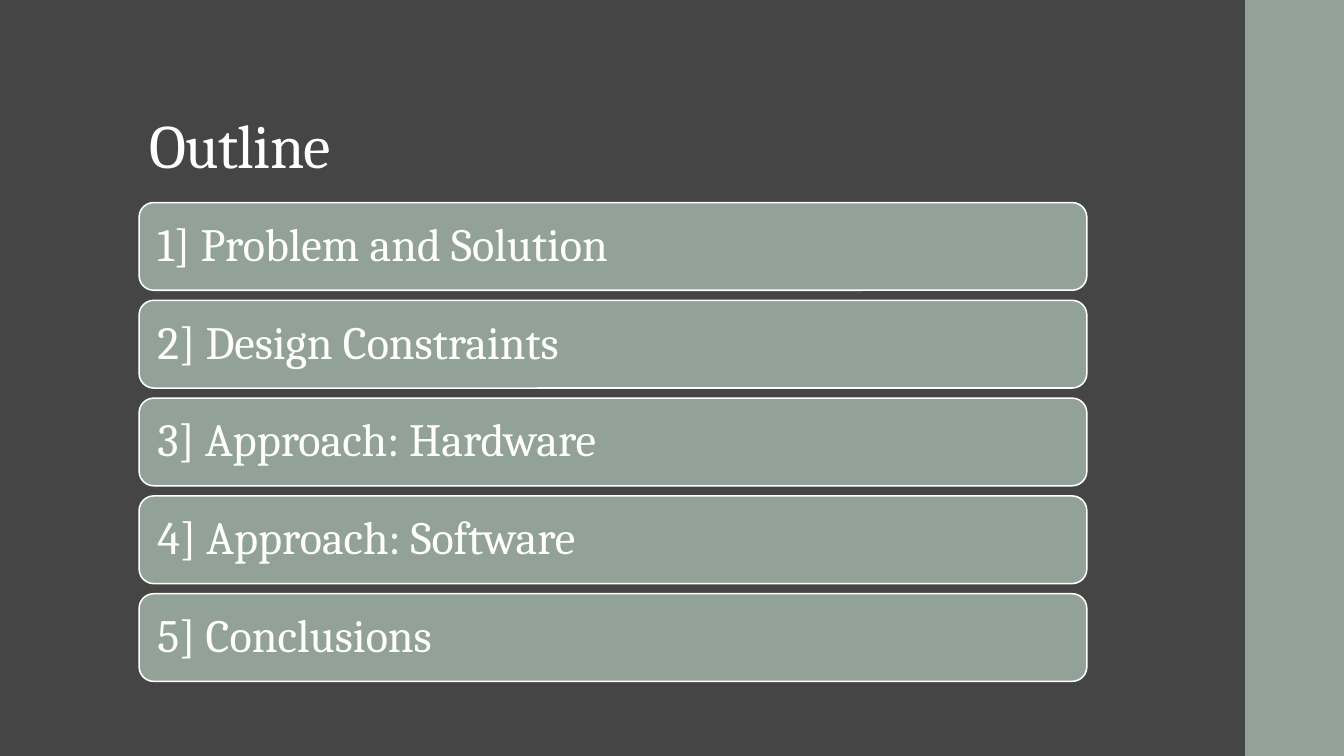
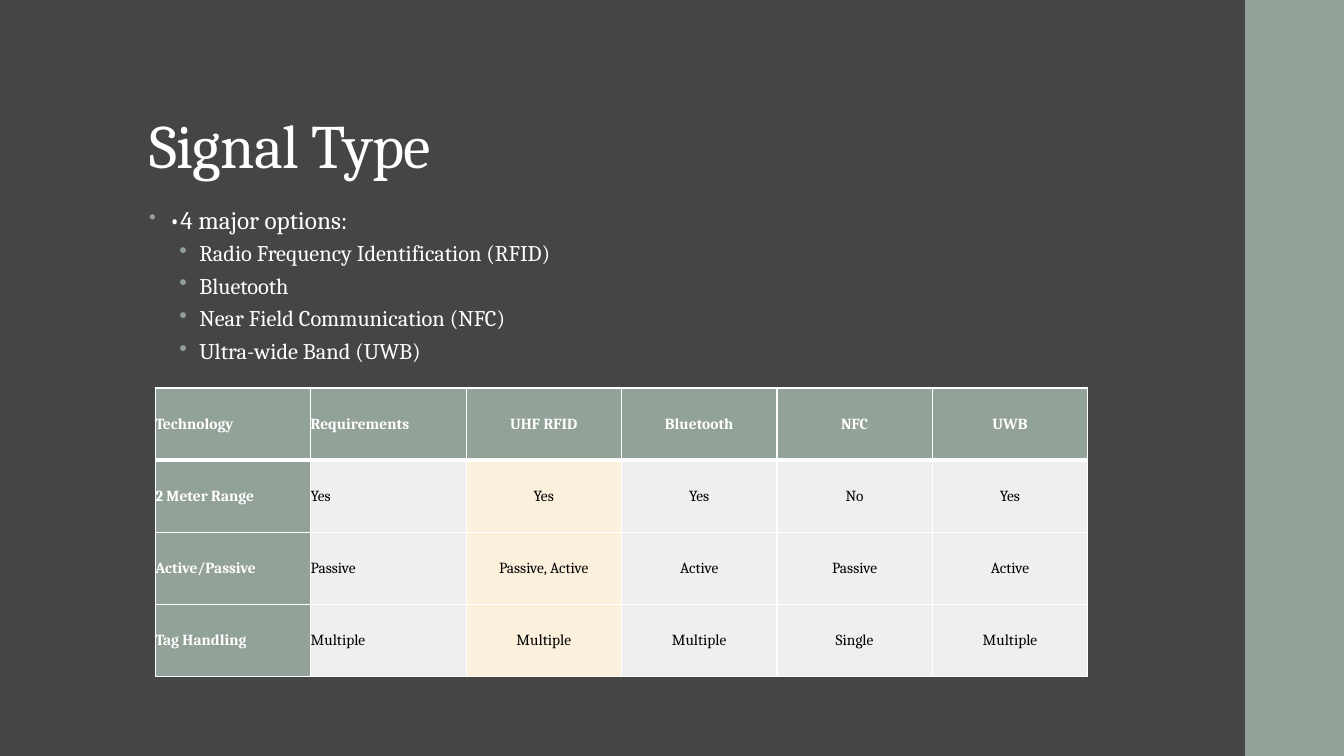
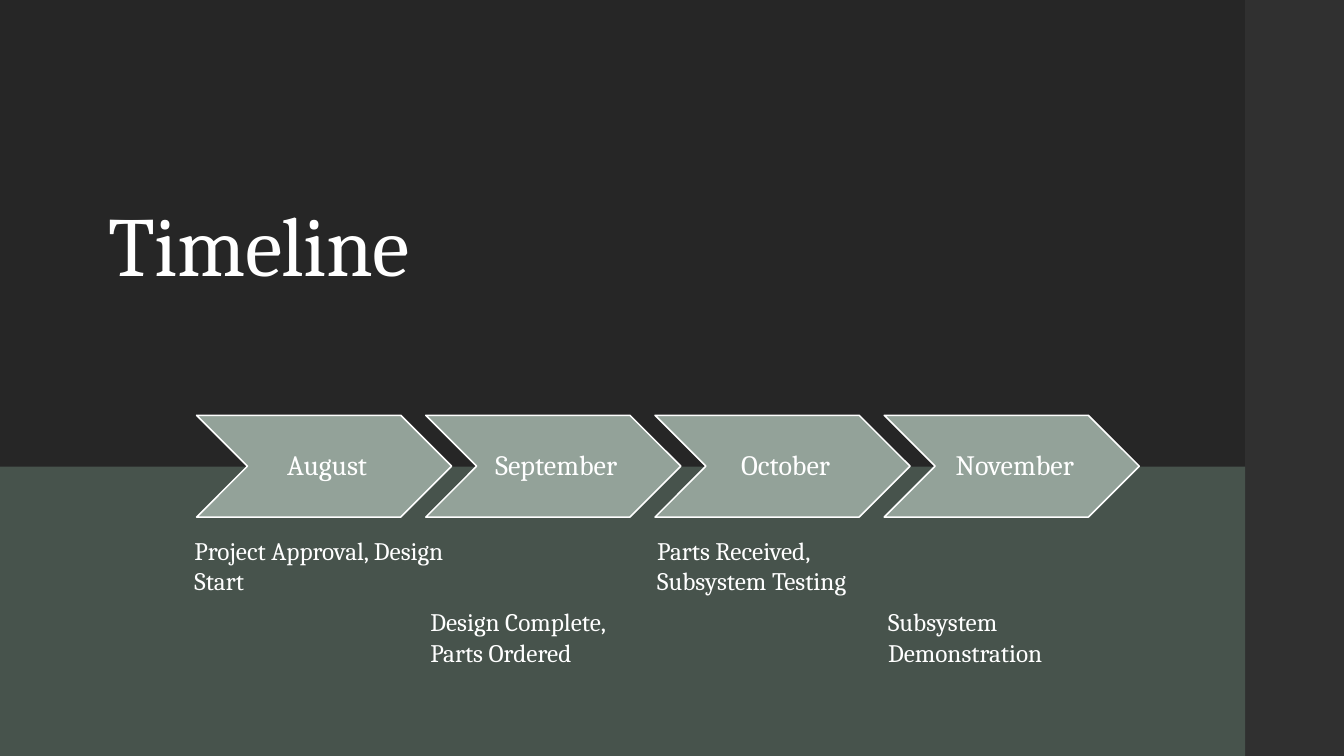
import dataclasses

import pptx
import pptx.dml.color
import pptx.enum.shapes
import pptx.enum.text
import pptx.oxml
import pptx.oxml.ns
import pptx.presentation
import pptx.shapes.autoshape
import pptx.shapes.base
import pptx.slide
import pptx.table
import pptx.text.text
import pptx.util

Inches = pptx.util.Inches
Pt = pptx.util.Pt
Shape = pptx.enum.shapes.MSO_SHAPE
Align = pptx.enum.text.PP_ALIGN
Anchor = pptx.enum.text.MSO_ANCHOR

FONT = "Cambria"
WHITE, BLACK = "FFFFFF", "000000"
SLATE, SAGE, MOSS = "454545", "93A299", "47534C"
COAL, STRIP = "262626", "303030"
PALE, CREAM = "EEF0EF", "FAF0DB"
EDGE = 12.35


@dataclasses.dataclass(frozen=True)
class Box:
    left: float
    top: float
    width: float
    height: float

    def lengths(self) -> tuple[int, ...]:
        return tuple(Inches(side) for side in dataclasses.astuple(self))


@dataclasses.dataclass(frozen=True)
class Month:
    name: str
    note: str
    left: float
    top: float


@dataclasses.dataclass(frozen=True)
class Bullet:
    text: str
    size: int
    indent: float
    scale: int
    before: int
    after: int
    line: float


TITLE = Box(1.38, 0.4, 10.6, 1.45)
TOPICS = ["1] Problem and Solution", "2] Design Constraints",
          "3] Approach: Hardware", "4] Approach: Software", "5] Conclusions"]
SIGNALS = ["Radio Frequency Identification (RFID)", "Bluetooth",
           "Near Field Communication (NFC)", "Ultra-wide Band (UWB)"]
GRID = [
    ["Technology", "Requirements", "UHF RFID", "Bluetooth", "NFC", "UWB"],
    ["2 Meter Range", "Yes", "Yes", "Yes", "No", "Yes"],
    ["Active/Passive", "Passive", "Passive, Active", "Active", "Passive", "Active"],
    ["Tag Handling", "Multiple", "Multiple", "Multiple", "Single", "Multiple"],
]
MONTHS = [
    Month("August", "Project Approval, Design Start", 1.83, 5.26),
    Month("September", "Design Complete,\nParts Ordered", 4.17, 5.97),
    Month("October", "Parts Received,\nSubsystem Testing", 6.42, 5.26),
    Month("November", "Subsystem\nDemonstration", 8.71, 5.97),
]


def color(code: str) -> pptx.dml.color.RGBColor:
    return pptx.dml.color.RGBColor.from_string(code)


def style(frame: pptx.text.text.TextFrame, size: float, code: str = WHITE,
          bold: bool = False, align: Align = Align.LEFT, line: float = 1.0,
          track: float = 0) -> None:
    """Format every run of a frame; track is letter spacing in points."""
    frame.word_wrap = True
    for para in frame.paragraphs:
        para.alignment = align
        para.line_spacing = line
        for run in para.runs:
            run.font.name = FONT
            run.font.size = Pt(size)
            run.font.bold = bold
            run.font.color.rgb = color(code)
            if track:
                run._r.get_or_add_rPr().set("spc", str(round(track * 100)))


def inset(frame: pptx.text.text.TextFrame, left: float, rest: float) -> None:
    frame.margin_left = Inches(left)
    frame.margin_top = frame.margin_right = frame.margin_bottom = Inches(rest)


def add_slide(deck: pptx.presentation.Presentation, title: str, back: str,
              strip: str, box: Box = TITLE, size: int = 44,
              anchor: Anchor = Anchor.BOTTOM, line: float = 0.9) -> pptx.slide.Slide:
    """Add a slide with its backdrop, right-hand strip and title."""
    slide = deck.slides.add_slide(deck.slide_layouts[5])
    slide.background.fill.solid()
    slide.background.fill.fore_color.rgb = color(back)
    add_block(slide, Shape.RECTANGLE, Box(EDGE, 0, 0.98, 7.5), strip)
    head = slide.shapes.title
    head.left, head.top, head.width, head.height = box.lengths()
    head.text_frame.text = title
    head.text_frame.vertical_anchor = anchor
    style(head.text_frame, size, line=line, track=-0.5)
    return slide


def add_block(slide: pptx.slide.Slide, kind: Shape, box: Box, fill: str,
              rim: bool = False) -> pptx.shapes.autoshape.Shape:
    block = slide.shapes.add_shape(kind, *box.lengths())
    block.shadow.inherit = False
    block.fill.solid()
    block.fill.fore_color.rgb = color(fill)
    if rim:
        block.line.color.rgb = color(WHITE)
        block.line.width = Pt(1.1)
    else:
        block.line.fill.background()
    return block


def add_label(slide: pptx.slide.Slide, kind: Shape, box: Box, text: str,
              size: int, pads: tuple[float, float], align: Align) -> None:
    """Add a sage shape with a white rim and its own text."""
    frame = add_block(slide, kind, box, SAGE, rim=True).text_frame
    frame.text = text
    frame.vertical_anchor = Anchor.MIDDLE
    inset(frame, *pads)
    style(frame, size, align=align, line=0.9)


def add_list(slide: pptx.slide.Slide, box: Box, items: list[Bullet]) -> None:
    frame = slide.shapes.add_textbox(*box.lengths()).text_frame
    frame.text = "\n".join(item.text for item in items)
    style(frame, 16)
    space = pptx.oxml.ns.nsdecls("a")
    for item, para in zip(items, frame.paragraphs):
        props = para._p.get_or_add_pPr()
        props.set("marL", str(Inches(item.indent)))
        props.set("indent", str(Inches(-0.2)))
        for part in (f'<a:buClr {space}><a:srgbClr val="{SAGE}"/></a:buClr>',
                     f'<a:buSzPct {space} val="{item.scale * 1000}"/>',
                     f'<a:buChar {space} char="•"/>'):
            props.append(pptx.oxml.parse_xml(part))
        para.line_spacing = item.line
        para.space_before = Pt(item.before)
        para.space_after = Pt(item.after)
        para.runs[0].font.size = Pt(item.size)


def add_rims(cell: pptx.table._Cell, top: int, base: int) -> None:
    """Give a cell white borders; top and base are widths in points."""
    space = pptx.oxml.ns.nsdecls("a")
    props = cell._tc.get_or_add_tcPr()
    for side, width in (("L", 1), ("R", 1), ("T", top), ("B", base)):
        props.append(pptx.oxml.parse_xml(
            f'<a:ln{side} {space} w="{Pt(width)}"><a:solidFill>'
            f'<a:srgbClr val="{WHITE}"/></a:solidFill></a:ln{side}>'))


def add_grid(slide: pptx.slide.Slide, box: Box, rows: list[list[str]]) -> None:
    table = slide.shapes.add_table(len(rows), len(rows[0]), *box.lengths()).table
    table.horz_banding = False
    for r, row in enumerate(rows):
        for c, text in enumerate(row):
            cell = table.cell(r, c)
            head = r == 0 or c == 0
            add_rims(cell, 3 if r == 1 else 1, 3 if r == 0 else 1)
            cell.fill.solid()
            cell.fill.fore_color.rgb = color(SAGE if head else CREAM if c == 2 else PALE)
            cell.vertical_anchor = Anchor.MIDDLE
            inset(cell, 0, 0)
            cell.text_frame.text = text
            style(cell.text_frame, 11, WHITE if head else BLACK, bold=head,
                  align=Align.LEFT if c < 2 else Align.CENTER)


def draw_outline(deck: pptx.presentation.Presentation) -> None:
    slide = add_slide(deck, "Outline", SLATE, SAGE)
    for i, topic in enumerate(TOPICS):
        add_label(slide, Shape.ROUNDED_RECTANGLE, Box(1.38, 2.01 + 0.97 * i, 9.4, 0.87),
                  topic, 33, (0.14, 0.14), Align.LEFT)


def draw_signals(deck: pptx.presentation.Presentation) -> None:
    slide = add_slide(deck, "Signal Type", SLATE, SAGE)
    lead = Bullet("•4 major options:", 18, 0.2, 80, 0, 2, 0.95)
    add_list(slide, Box(1.38, 2, 9.4, 1.75),
             [lead] + [Bullet(text, 16, 0.5, 100, 3, 3, 0.9) for text in SIGNALS])
    add_grid(slide, Box(1.54, 3.85, 9.25, 2.86), GRID)


def draw_months(deck: pptx.presentation.Presentation) -> None:
    slide = add_slide(deck, "Timeline", COAL, STRIP, Box(0.98, 0.61, 10.87, 3.75),
                      60, Anchor.MIDDLE, 0.85)
    add_block(slide, Shape.RECTANGLE, Box(0, 4.63, EDGE, 2.87), MOSS)
    step = (8.77 - 1.95) / (len(MONTHS) - 1)
    for i, month in enumerate(MONTHS):
        add_label(slide, Shape.CHEVRON, Box(1.95 + step * i, 4.12, 2.53, 1.01),
                  month.name, 20, (0.09, 0.03), Align.CENTER)
        note = slide.shapes.add_textbox(*Box(month.left, month.top, 3, 0.71).lengths())
        note.text_frame.text = month.note
        style(note.text_frame, 18)


def main() -> None:
    deck = pptx.Presentation()
    deck.slide_width, deck.slide_height = Inches(13.33), Inches(7.5)
    draw_outline(deck)
    draw_signals(deck)
    draw_months(deck)
    deck.save("out.pptx")


if __name__ == "__main__":
    main()
